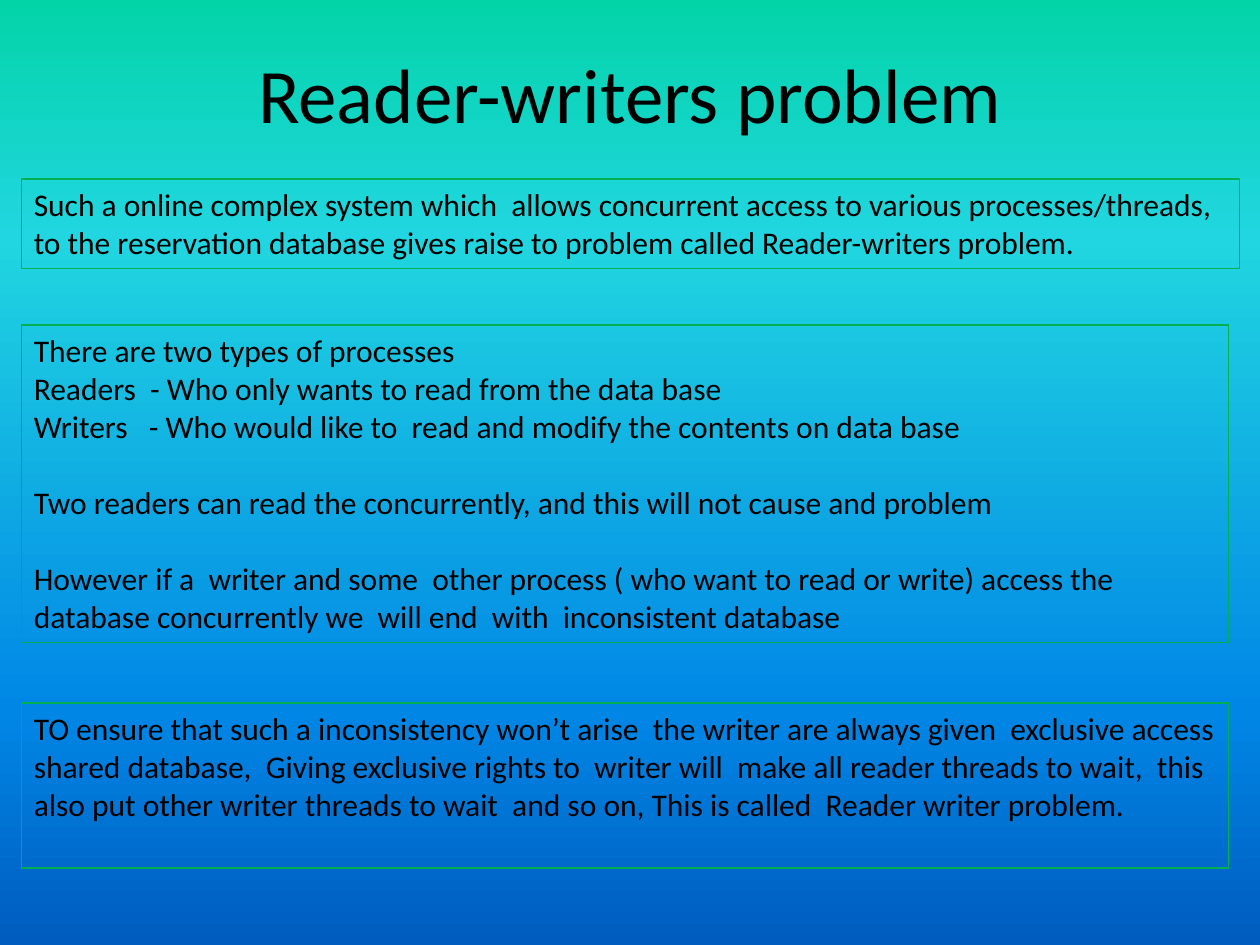
from lxml import etree
from pptx import Presentation
from pptx.dml.color import RGBColor
from pptx.enum.text import MSO_ANCHOR, PP_ALIGN
from pptx.oxml.ns import qn
from pptx.util import Inches, Pt

LEFT, CENTER = PP_ALIGN.LEFT, PP_ALIGN.CENTER
TOP, MIDDLE = MSO_ANCHOR.TOP, MSO_ANCHOR.MIDDLE
BLANK_LAYOUT = 6
FONT = "Calibri"
BLACK, GREEN = "000000", "00B050"
GRADIENT = [(0, "03D4A8"), (25, "21D6E0"), (75, "0087E6"), (100, "005CBF")]
PANEL_LEFT = 0.17
SECTION_GAP = 22

INTRO = [
    ("Such a online complex system which  allows concurrent access to various "
     "processes/threads, to the reservation database gives raise to problem "
     "called Reader-writers problem.", 0),
]
PROCESSES = [
    ("There are two types of processes", 0),
    ("Readers  - Who only wants to read from the data base", 0),
    ("Writers   - Who would like to  read and modify the contents on data base", 0),
    ("Two readers can read the concurrently, and this will not cause and problem",
     SECTION_GAP),
    ("However if a  writer and some  other process ( who want to read or write) "
     "access the database concurrently we  will end  with  inconsistent database",
     SECTION_GAP),
]
SOLUTION = [
    ("TO ensure that such a inconsistency won\u2019t arise  the writer are always "
     "given  exclusive access shared database,  Giving exclusive rights to  writer "
     "will  make all reader threads to wait,  this also put other writer threads to "
     "wait  and so on, This is called  Reader writer problem.", 0),
]
PANELS = [
    (1.42, 9.67, 0.71, INTRO),
    (2.58, 9.58, 2.52, PROCESSES),
    (5.58, 9.58, 1.31, SOLUTION),
]


def color(value):
    return RGBColor.from_string(value)


def apply_format(target, values):
    for name, value in values.items():
        setattr(target, name, value)


def paint_background(page):
    fill = page.background.fill
    fill.gradient()
    fill.gradient_angle = 270
    stops = page.element.find(".//" + qn("a:gsLst"))
    for stop in list(stops):
        stops.remove(stop)
    for percent, value in GRADIENT:
        stop = etree.SubElement(stops, qn("a:gs"), pos=str(percent * 1000))
        etree.SubElement(stop, qn("a:srgbClr"), val=value)


def add_text(page, bounds, paragraphs, size, align=LEFT, anchor=TOP):
    box = page.shapes.add_textbox(*(Inches(length) for length in bounds))
    apply_format(box.text_frame, {"word_wrap": True, "vertical_anchor": anchor})
    for index, (text, gap) in enumerate(paragraphs):
        para = box.text_frame.add_paragraph() if index else box.text_frame.paragraphs[0]
        apply_format(para, {"alignment": align, "space_before": Pt(gap)})
        span = para.add_run()
        span.text = text
        apply_format(span.font, {"name": FONT, "size": Pt(size)})
        span.font.color.rgb = color(BLACK)
    return box


def add_panel(page, top, width, height, paragraphs):
    box = add_text(page, (PANEL_LEFT, top, width, height), paragraphs, 18)
    box.line.color.rgb = color(GREEN)
    box.line.width = Pt(0.75)


def main():
    deck = Presentation()
    apply_format(deck, {"slide_width": Inches(10), "slide_height": Inches(7.5)})
    page = deck.slides.add_slide(deck.slide_layouts[BLANK_LAYOUT])
    paint_background(page)
    add_text(page, (0.5, 0.3, 9, 0.87), [("Reader-writers problem", 0)], 44,
             CENTER, MIDDLE)
    for panel in PANELS:
        add_panel(page, *panel)
    deck.save("out.pptx")


main()
